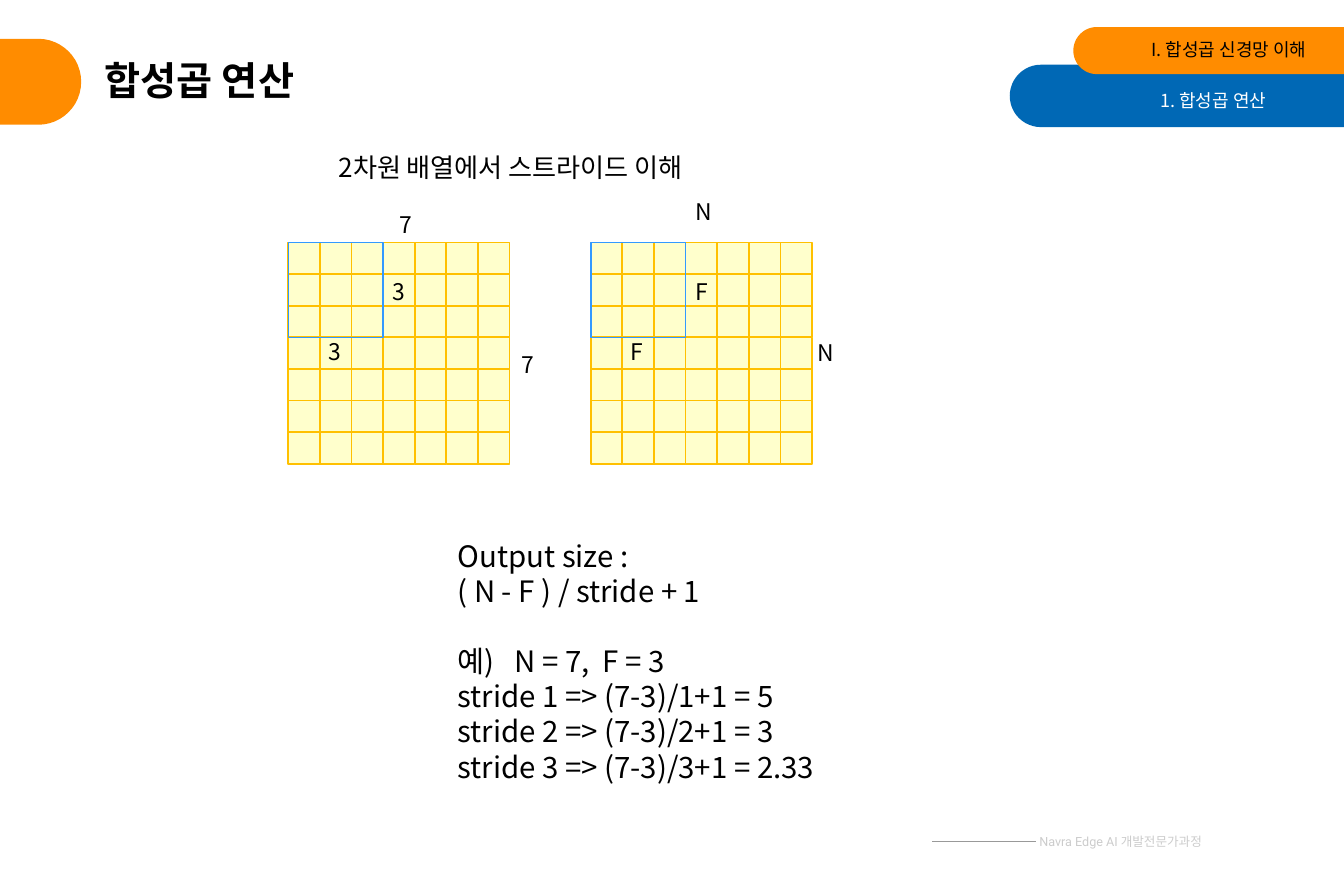
import pptx
import pptx.util
import pptx.dml.color
import pptx.enum.shapes
import pptx.enum.text
import pptx.oxml.ns
import lxml.etree

Inches = pptx.util.Inches
Pt = pptx.util.Pt
RGBColor = pptx.dml.color.RGBColor
SHAPES = pptx.enum.shapes.MSO_SHAPE
ALIGN = pptx.enum.text.PP_ALIGN
ANCHOR = pptx.enum.text.MSO_ANCHOR

ORANGE = RGBColor(0xFF, 0x8C, 0x00)
BLUE = RGBColor(0x00, 0x68, 0xB5)
CELL_FILL = RGBColor(0xFF, 0xFF, 0xCC)
CELL_LINE = RGBColor(0xFF, 0xC0, 0x00)
WINDOW_LINE = RGBColor(0x33, 0x99, 0xFF)
RULE_GRAY = RGBColor(0x99, 0x99, 0x99)
FOOTER_GRAY = RGBColor(0xCC, 0xCC, 0xCC)
BLACK = RGBColor(0, 0, 0)
WHITE = RGBColor(0xFF, 0xFF, 0xFF)
MAIN_FONT = "Noto Sans CJK KR"
CELLS = 7
WINDOW_CELLS = 3


def write(para, text, size, color=BLACK, name=MAIN_FONT, bold=False):
    span = para.add_run()
    span.text = text
    formats = {"size": Pt(size), "name": name, "bold": bold}
    for key, value in formats.items():
        setattr(span.font, key, value)
    span.font.color.rgb = color
    # Hangul takes its font from the East Asian entry
    east_asian = lxml.etree.SubElement(
        span.font._element, pptx.oxml.ns.qn("a:ea"))
    east_asian.set("typeface", name)


def add_text(page, box, lines, size, align=ALIGN.LEFT, **style):
    frame = page.shapes.add_textbox(*map(Inches, box)).text_frame
    frame.word_wrap = True
    for index, line in enumerate(lines):
        para = frame.paragraphs[0] if index == 0 else frame.add_paragraph()
        para.alignment = align
        write(para, line, size, **style)
    return frame


def add_block(page, kind, box, fill=None, line=None):
    block = page.shapes.add_shape(kind, *map(Inches, box))
    block.shadow.inherit = False
    if fill is None:
        block.fill.background()
    else:
        block.fill.solid()
        block.fill.fore_color.rgb = fill
    if line is None:
        block.line.fill.background()
    else:
        block.line.color.rgb = line
        block.line.width = Pt(1)
    return block


def add_header(page, box):
    left, top, width, height = box
    right = left + width
    # Rounded tabs that run past the slide edges
    tabs = [
        ((left - 0.45, top + 0.1, 1.14, 0.73), ORANGE),
        ((right - 2.84, top + 0.32, 3.25, 0.53), BLUE),
        ((right - 2.3, top, 3.15, 0.4), ORANGE),
    ]
    for tab_box, fill in tabs:
        tab = add_block(page, SHAPES.ROUNDED_RECTANGLE, tab_box, fill)
        tab.adjustments[0] = 0.5

    # Title
    title = page.shapes.title
    place = {"left": left + 0.79, "top": top + 0.11,
             "width": 6.99, "height": 0.73}
    for key, value in place.items():
        setattr(title, key, Inches(value))
    title.text_frame.vertical_anchor = ANCHOR.MIDDLE
    para = title.text_frame.paragraphs[0]
    para.alignment = ALIGN.LEFT
    para.line_spacing = 0.9
    write(para, "합성곱 연산", 24, bold=True)

    # Chapter and section
    add_text(page, (right - 2.1, top + 0.05, 1.88, 0.29),
             ["I. 합성곱 신경망 이해"], 11, ALIGN.RIGHT)
    add_text(page, (right - 1.76, top + 0.48, 1.2, 0.29),
             ["1. 합성곱 연산"], 11, ALIGN.RIGHT, color=WHITE)


def add_grid(page, box, grid_label, window_label, top_label, side_label):
    left, top, width, height = box
    cell = width / CELLS
    for row in range(CELLS):
        for column in range(CELLS):
            add_block(page, SHAPES.RECTANGLE,
                      (left + column * cell, top + row * cell, cell, cell),
                      CELL_FILL, CELL_LINE)
    # Filter window
    window = WINDOW_CELLS * cell
    add_block(page, SHAPES.RECTANGLE, (left, top, window, window),
              line=WINDOW_LINE)
    # Size labels: the grid's sides, then the window's sides
    labels = [
        (grid_label, top_label),
        (grid_label, side_label),
        (window_label, (0.79, 0.25)),
        (window_label, (0.24, 0.76)),
    ]
    for text, (across, down) in labels:
        add_text(page, (left + across, top + down, 0.33, 0.34), [text], 14)


def add_formula(page, box):
    lines = [
        "Output size :",
        "( N - F ) / stride + 1",
        "예)\u00a0\u00a0 N = 7,\u00a0 F = 3".replace("\u00a0", " "),
        "stride 1 => (7-3)/1+1 = 5",
        "stride 2 => (7-3)/2+1 = 3",
        "stride 3 => (7-3)/3+1 = 2.33",
    ]
    frame = add_text(page, box, lines, 18)
    for para in frame.paragraphs:
        para.line_spacing = Pt(21.5)
    # The example stands one line below the formula
    frame.paragraphs[2].space_before = Pt(21.5)


def add_footer(page, box):
    left, top, width, height = box
    middle = top + 0.12
    rule = page.shapes.add_connector(
        pptx.enum.shapes.MSO_CONNECTOR.STRAIGHT,
        Inches(left + 0.11), Inches(middle),
        Inches(left + 0.99), Inches(middle))
    rule.line.color.rgb = RULE_GRAY
    rule.line.width = Pt(0.5)
    lxml.etree.SubElement(rule._element.spPr,
                          pptx.oxml.ns.qn("a:effectLst"))
    add_text(page, box, ["Navra Edge AI 개발전문가과정"], 7.7, ALIGN.RIGHT,
             color=FOOTER_GRAY, name="Roboto")


def main():
    deck = pptx.Presentation()
    deck.slide_width = Inches(11.42)
    deck.slide_height = Inches(7.5)
    page = deck.slides.add_slide(deck.slide_layouts[5])

    add_header(page, (0, 0.23, 11.42, 0.85))
    add_text(page, (2.78, 1.24, 3.48, 0.37),
             ["2차원 배열에서 스트라이드 이해"], 16)
    add_grid(page, (2.45, 2.06, 1.88, 1.88), "7", "3",
             (0.85, -0.32), (1.88, 0.87))
    add_grid(page, (5.02, 2.06, 1.88, 1.88), "N", "F",
             (0.79, -0.43), (1.83, 0.77))
    add_formula(page, (3.79, 4.52, 3.6, 2.22))
    add_footer(page, (7.81, 7.03, 2.5, 0.23))

    deck.save("out.pptx")


if __name__ == "__main__":
    main()
